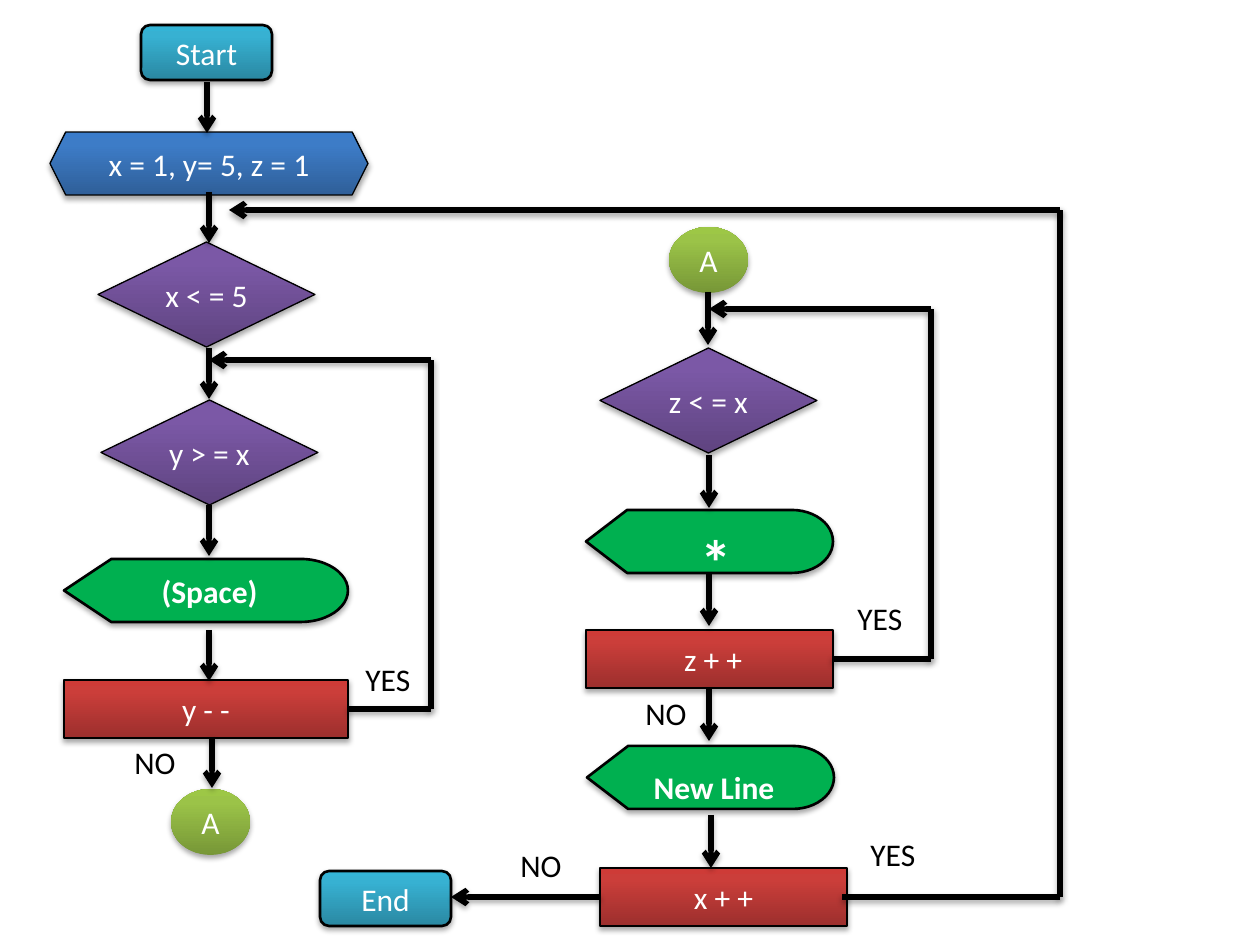
import copy
import lxml.etree
import pptx
import pptx.util
import pptx.dml.color
import pptx.enum.shapes
import pptx.enum.text
import pptx.oxml
import pptx.oxml.ns

RGB = pptx.dml.color.RGBColor
KIND = pptx.enum.shapes.MSO_SHAPE
TEXT = pptx.enum.text
qn = pptx.oxml.ns.qn

BLACK = RGB(0x00, 0x00, 0x00)
WHITE = RGB(0xFF, 0xFF, 0xFF)
GREEN = RGB(0x00, 0xB0, 0x50)
TEAL = [RGB(0x2A, 0x88, 0xA2), RGB(0x37, 0xB1, 0xD2), RGB(0x34, 0xB4, 0xD6)]
BLUE = [RGB(0x2F, 0x5F, 0x99), RGB(0x3D, 0x7C, 0xC7), RGB(0x3A, 0x7C, 0xCB)]
PURPLE = [RGB(0x5F, 0x44, 0x80), RGB(0x7B, 0x58, 0xA6), RGB(0x7C, 0x57, 0xA8)]
RED = [RGB(0x9C, 0x2F, 0x2D), RGB(0xCB, 0x3E, 0x3A), RGB(0xCE, 0x3B, 0x37)]
LIME = [RGB(0x77, 0x97, 0x37), RGB(0x9B, 0xC3, 0x48), RGB(0x9D, 0xC7, 0x46)]
STOPS = [0, 0.8, 1]

PX = 914400 // 126
WIDE, HIGH = 1260, 945
LEFT, RIGHT = 284, 247
DROPS = {51: [(207, 82), (209, 192), (209, 348), (209, 505), (209, 630), (212, 737)],
         53: [(708, 292), (709, 455), (709, 573), (709, 688), (711, 815)]}

STYLES = {
    "end": dict(kind=KIND.FLOWCHART_ALTERNATE_PROCESS, fill=TEAL, line=1.5, high=55),
    "init": dict(kind=KIND.HEXAGON, fill=BLUE, line=0.75, high=63),
    "test": dict(kind=KIND.FLOWCHART_DECISION, fill=PURPLE, line=0.75, high=105),
    "show": dict(kind=KIND.FLOWCHART_DISPLAY, fill=GREEN, line=1.5, high=63),
    "step": dict(kind=KIND.RECTANGLE, fill=RED, line=0.75, high=58),
    "link": dict(kind=KIND.FLOWCHART_CONNECTOR, fill=LIME, line=0, high=66),
}
NODES = [
    ("end", "Start", 141, 25, 131, {}),
    ("init", "x = 1, y= 5, z = 1", 50, 132, 318, {}),
    ("test", "x < = 5", 98, 242, 217, {}),
    ("test", "y > = x", 101, 400, 217, {}),
    ("show", " (Space)", 64, 559, LEFT, {"bold": True}),
    ("step", "y - -", 64, 680, LEFT, {}),
    ("link", "A", 171, 789, 79, {}),
    ("link", "A", 669, 227, 79, {}),
    ("test", "z < = x", 600, 348, 217, {}),
    ("show", " *", 586, 510, RIGHT, {"bold": True, "size": pptx.util.Pt(36), "space": 1.5}),
    ("step", " z + +", 586, 630, RIGHT, {}),
    ("show", " New Line", 587, 746, RIGHT, {"bold": True, "space": 1.5}),
    ("step", "x + +", 600, 868, RIGHT, {}),
    ("end", "End", 320, 871, 131, {}),
]
LABELS = [("YES", 353, 654), ("NO", 122, 737), ("YES", 845, 593),
          ("NO", 633, 688), ("YES", 858, 829), ("NO", 508, 840)]
ROUTES = [
    [(348, 709), (431, 709), (431, 360), (209, 360)],
    [(832, 659), (931, 659), (931, 309), (709, 309)],
    [(842, 897), (1060, 897), (1060, 210), (229, 210)],
    [(600, 897), (451, 897)],
]
ROUTES += [[(x, y), (x, y + gap)] for gap, spots in DROPS.items() for x, y in spots]

SHADOW = (
    '<a:effectLst xmlns:a="http://schemas.openxmlformats.org/drawingml/2006/main">'
    '<a:outerShdw blurRad="40000" dist="23000" dir="5400000" rotWithShape="0">'
    '<a:srgbClr val="000000"><a:alpha val="35000"/></a:srgbClr>'
    '</a:outerShdw></a:effectLst>'
)


def emu(*sizes):
    return [size * PX for size in sizes]


def shade(item):
    item._element.spPr.append(pptx.oxml.parse_xml(SHADOW))


def paint(shape, fill):
    if isinstance(fill, RGB):
        shape.fill.solid()
        shape.fill.fore_color.rgb = fill
        return
    shape.fill.gradient()
    shape.fill.gradient_angle = 90
    stops = shape._element.spPr.find(".//" + qn("a:gsLst"))
    stops.append(copy.deepcopy(stops[-1]))
    for stop, place, color in zip(shape.fill.gradient_stops, STOPS, fill):
        stop.position = place
        stop.color.rgb = color


def write(frame, words, color, size=pptx.util.Pt(18), bold=False, space=None):
    frame.word_wrap = True
    para = frame.paragraphs[0]
    para.line_spacing = space
    run = para.add_run()
    run.text = words
    for name, value in {"name": "Calibri", "size": size, "bold": bold}.items():
        setattr(run.font, name, value)
    run.font.color.rgb = color
    return para


def add_node(shapes, style, words, x, y, wide, text):
    look = STYLES[style]
    shape = shapes.add_shape(look["kind"], *emu(x, y, wide, look["high"]))
    paint(shape, look["fill"])
    if look["line"]:
        shape.line.color.rgb = BLACK
        shape.line.width = pptx.util.Pt(look["line"])
    else:
        shape.line.fill.background()
    shade(shape)
    shape.text_frame.vertical_anchor = TEXT.MSO_ANCHOR.MIDDLE
    write(shape.text_frame, words, WHITE, **text).alignment = TEXT.PP_ALIGN.CENTER


def add_label(shapes, words, x, y):
    frame = shapes.add_textbox(*emu(x, y, 73, 50)).text_frame
    write(frame, words, BLACK)
    frame.auto_size = TEXT.MSO_AUTO_SIZE.SHAPE_TO_FIT_TEXT


def add_route(shapes, points):
    if len(points) > 2:
        shapes = shapes.add_group_shape().shapes
    for start, stop in zip(points, points[1:]):
        line = shapes.add_connector(
            pptx.enum.shapes.MSO_CONNECTOR.STRAIGHT, *emu(*start, *stop))
        line.line.color.rgb = BLACK
        line.line.width = pptx.util.Pt(3)
        if stop == points[-1]:
            edge = line._element.spPr.find(qn("a:ln"))
            lxml.etree.SubElement(edge, qn("a:tailEnd"), type="arrow")
        shade(line)


def main():
    deck = pptx.Presentation()
    deck.slide_width, deck.slide_height = emu(WIDE, HIGH)
    shapes = deck.slides.add_slide(deck.slide_layouts[6]).shapes
    for node in NODES:
        add_node(shapes, *node)
    for route in ROUTES:
        add_route(shapes, route)
    for label in LABELS:
        add_label(shapes, *label)
    deck.save("out.pptx")


if __name__ == "__main__":
    main()
